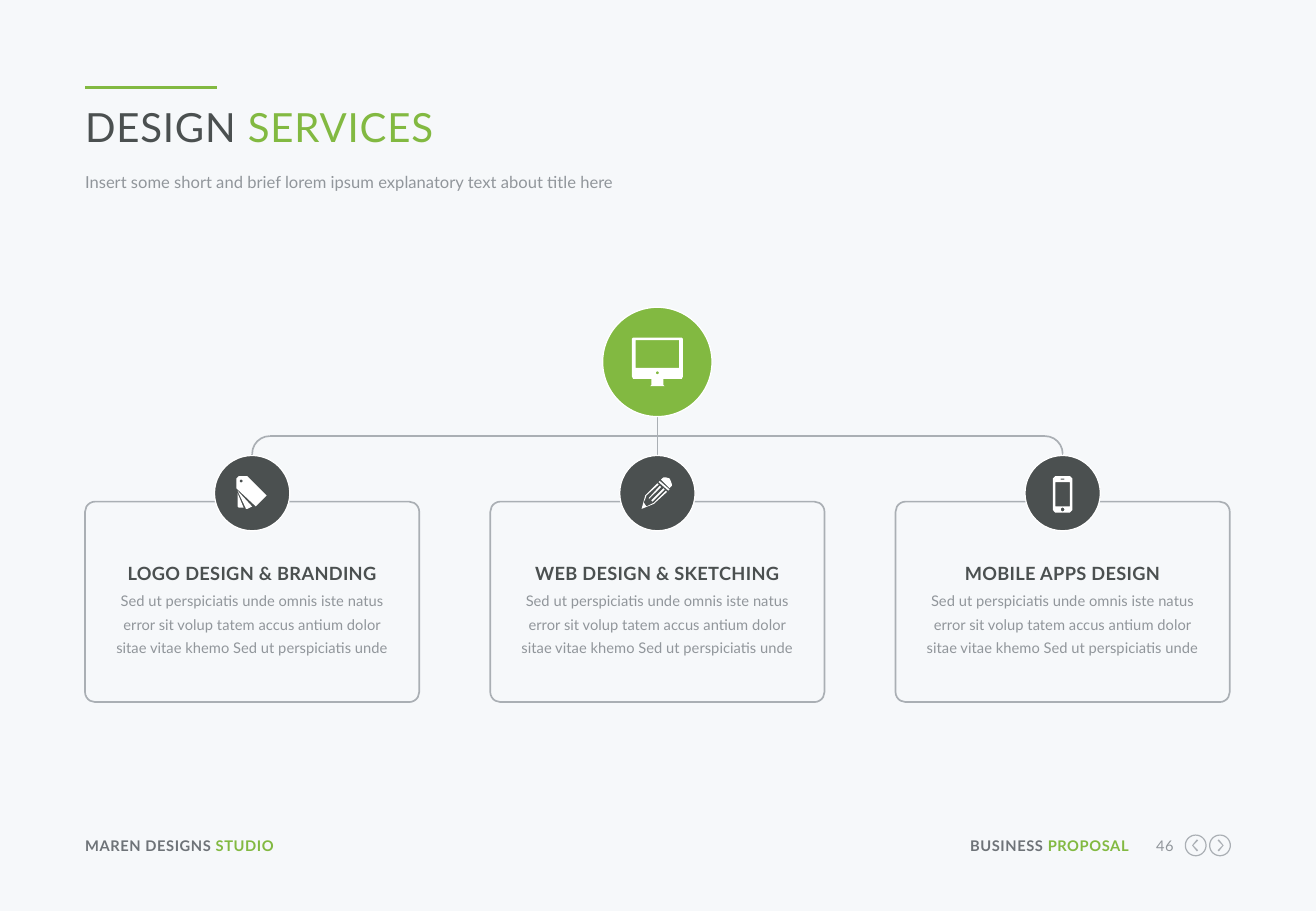
from math import cos, pi, sin

from pptx import Presentation
from pptx.dml.color import RGBColor
from pptx.enum import shapes, text
from pptx.oxml import ns
from pptx.oxml.xmlchemy import OxmlElement
from pptx.util import Inches, Pt

GREEN = RGBColor(0x82, 0xB9, 0x41)
DARK = RGBColor(0x4B, 0x50, 0x50)
SLATE = RGBColor(0x6E, 0x73, 0x78)
GRAY = RGBColor(0x91, 0x96, 0x9B)
RULE = RGBColor(0xAA, 0xAF, 0xB4)
WHITE = RGBColor(0xFF, 0xFF, 0xFF)
PAPER = RGBColor(0xF6, 0xF8, 0xFA)
FONT = "Lato"
LEFT, CENTER, RIGHT = text.PP_ALIGN.LEFT, text.PP_ALIGN.CENTER, text.PP_ALIGN.RIGHT


def circle(x, y, radius, steps=36):
    return [(x + radius * cos(2 * pi * i / steps), y + radius * sin(2 * pi * i / steps))
            for i in range(steps)]


def box(left, top, right, bottom):
    return [(left, top), (right, top), (right, bottom), (left, bottom)]


# Icon outlines are hundredths of an inch from the centre of their badge.
MONITOR = [
    [(-20, -20), (20, -20), (21, -19), (21, 12), (20, 14), (5, 14), (5, 19), (6, 20),
     (-6, 20), (-5, 19), (-5, 14), (-20, 14), (-21, 12), (-21, -19)],
    box(-18, -18, 18, 5),
    circle(0, 9, 1.2),
]
SWATCHES = [
    [(-13, -5), (-13, -12), (-11, -14), (-4, -14), (-3, -13), (11, 1), (12, 2), (3, 11), (2, 10),
     (-13, -4)],
    [(-12, -2), (0, 11), (-4, 13), (-5, 13)],
    [(-12, 0), (-7, 12), (-11, 12), (-12, 11)],
    circle(-9, -10, 1.2),
]
PENCIL = [
    [(-13, 13), (-10, 2), (0, -8), (1, -7), (-9, 2), (-10, 5), (-11, 7), (-11, 8), (-9, 11),
     (-3, 8), (7, -2), (8, -1), (-3, 9)],
    [(-7, 4), (2, -6), (3, -5), (-7, 5)],
    [(-5, 6), (5, -4), (6, -3), (-4, 7)],
    [(1, -9), (2, -10), (10, -3), (9, -2)],
    [(3, -11), (5, -13), (7, -13), (10, -12), (11, -10), (12, -7), (12, -6), (11, -5), (10, -4)],
]
PHONE = [
    [(-6, -14), (6, -14), (8, -12), (8, 14), (6, 16), (-6, 16), (-8, 14), (-8, -12)],
    box(-6, -9, 6, 11),
    circle(0, 13.5, 1.5),
    box(-1.5, -12, 1.5, -11),
]
CHEVRON = [(2, 4), (-2, 0), (2, -4), (1, -5), (-3, 0), (1, 5)]

TITLE = [("DESIGN", DARK), (" SERVICES", GREEN)]
SUBTITLE = [("Insert some short and brief lorem ipsum explanatory text about title here", GRAY)]
BLURB = [("Sed ut perspiciatis unde omnis iste natus error sit volup tatem accus antium dolor sitae "
          "vitae khemo Sed ut perspiciatis unde", GRAY)]
SERVICES = [
    ("LOGO DESIGN & BRANDING", SWATCHES),
    ("WEB DESIGN & SKETCHING", PENCIL),
    ("MOBILE APPS DESIGN", PHONE),
]
FOOTERS = [
    ([("MAREN DESIGNS ", SLATE), ("STUDIO", GREEN)], 0.7, 2.11, LEFT, True),
    ([("BUSINESS ", SLATE), ("PROPOSAL", GREEN)], 7.92, 1.37, RIGHT, True),
    ([("46", GRAY)], 9.41, 0.25, RIGHT, False),
]
ARROWS = [(9.84, 1), (10.04, -1)]

MARGIN, CONTENT_WIDTH = 0.7, 9.42
CARD_TOP, CARD_WIDTH, CARD_HEIGHT = 4.13, 2.75, 1.65
CARD_STEP = (CONTENT_WIDTH - CARD_WIDTH) / (len(SERVICES) - 1)
CARD_CENTERS = [MARGIN + CARD_WIDTH / 2 + i * CARD_STEP for i in range(len(SERVICES))]
BADGE_Y, BADGE_SIZE = 4.06, 0.62
HUB_Y, HUB_SIZE = 2.98, 0.9
BUS_Y, BEND = 3.59, 0.29

prs = Presentation()
prs.slide_width, prs.slide_height = Inches(10.83), Inches(7.5)
slide = prs.slides.add_slide(prs.slide_layouts[5])
slide.background.fill.solid()
slide.background.fill.fore_color.rgb = PAPER


def write(runs, left, top, width, height, size=8.7, bold=False, align=LEFT, tracking=0,
          leading=None, holder=None):
    holder = holder or slide.shapes.add_textbox(0, 0, 0, 0)
    holder.left, holder.top = Inches(left), Inches(top)
    holder.width, holder.height = Inches(width), Inches(height)
    frame = holder.text_frame
    frame.word_wrap = True
    frame.auto_size = text.MSO_AUTO_SIZE.NONE
    frame.vertical_anchor = text.MSO_ANCHOR.TOP
    frame.margin_left = frame.margin_right = frame.margin_top = frame.margin_bottom = 0
    paragraph = frame.paragraphs[0]
    paragraph.alignment = align
    if leading:
        paragraph.line_spacing = Pt(leading)
    for words, color in runs:
        run = paragraph.add_run()
        run.text = words
        run.font.name, run.font.size, run.font.bold = FONT, Pt(size), bold
        run.font.color.rgb = color
        if tracking:
            run.font._element.set("spc", str(round(tracking * 100)))


def connect(x1, y1, x2, y2, color=RULE, weight=1):
    link = slide.shapes.add_connector(shapes.MSO_CONNECTOR.STRAIGHT,
                                      Inches(x1), Inches(y1), Inches(x2), Inches(y2))
    link.line.color.rgb, link.line.width = color, Pt(weight)
    link._element.find(ns.qn("p:spPr")).append(OxmlElement("a:effectLst"))


def paint(shape, fill=None, line=None, weight=1):
    shape.shadow.inherit = False
    if fill is None:
        shape.fill.background()
    else:
        shape.fill.solid()
        shape.fill.fore_color.rgb = fill
    if line is None:
        shape.line.fill.background()
    else:
        shape.line.color.rgb, shape.line.width = line, Pt(weight)
    return shape


def preset(kind, left, top, width, height, **look):
    return paint(slide.shapes.add_shape(kind, Inches(left), Inches(top),
                                        Inches(width), Inches(height)), **look)


def icon(outlines, x, y, color=WHITE):
    placed = [[(Inches(x + dx / 100), Inches(y + dy / 100)) for dx, dy in outline]
              for outline in outlines]
    builder = slide.shapes.build_freeform(*placed[0][0], scale=1.0)
    for number, points in enumerate(placed):
        if number:
            builder.move_to(*points[0])
        builder.add_line_segments(points[1:], close=True)
    paint(builder.convert_to_shape(), fill=color)


def badge(outlines, x, y, size, color):
    preset(shapes.MSO_SHAPE.OVAL, x - size / 2, y - size / 2, size, size,
           fill=color, line=WHITE, weight=0.75)
    icon(outlines, x, y)


connect(MARGIN, 0.72, 1.79, 0.72, GREEN, 2.25)
write(TITLE, MARGIN, 0.84, CONTENT_WIDTH, 0.41, size=23.8, tracking=0.5,
      holder=slide.shapes.title)
write(SUBTITLE, MARGIN, 1.4, CONTENT_WIDTH, 0.21, size=9.8, leading=13)

first, middle, last = CARD_CENTERS
connect(first + BEND / 2, BUS_Y, last - BEND / 2, BUS_Y)
connect(middle, HUB_Y + HUB_SIZE / 2, middle, BADGE_Y - BADGE_SIZE / 2)
for end, left, flipped in ((first, first, True), (last, last - BEND, False)):
    bend = preset(shapes.MSO_SHAPE.ARC, left, BUS_Y, BEND, BEND, line=RULE)
    if flipped:
        bend._element.spPr.find(ns.qn("a:xfrm")).set("flipH", "1")
    connect(end, BUS_Y + BEND / 2, end, 3.79)

badge(MONITOR, middle, HUB_Y, HUB_SIZE, GREEN)
for (service, outlines), x in zip(SERVICES, CARD_CENTERS):
    card = preset(shapes.MSO_SHAPE.ROUNDED_RECTANGLE, x - CARD_WIDTH / 2, CARD_TOP,
                  CARD_WIDTH, CARD_HEIGHT, line=RULE)
    card.adjustments[0] = 0.05
    badge(outlines, x, BADGE_Y, BADGE_SIZE, DARK)
    write([(service, DARK)], x - 1.2, 4.55, 2.4, 0.25, size=10.8, bold=True,
          align=CENTER, tracking=0.2, leading=18.4)
    write(BLURB, x - 1.2, 4.82, 2.4, 0.59, align=CENTER, leading=14.1)

for runs, left, width, align, bold in FOOTERS:
    write(runs, left, 6.89, width, 0.15, bold=bold, align=align, tracking=0.3)
for x, side in ARROWS:
    icon([circle(0, 0, 9), circle(0, 0, 8), [(side * dx, dy) for dx, dy in CHEVRON]],
         x, 6.96, RULE)

prs.save("out.pptx")
